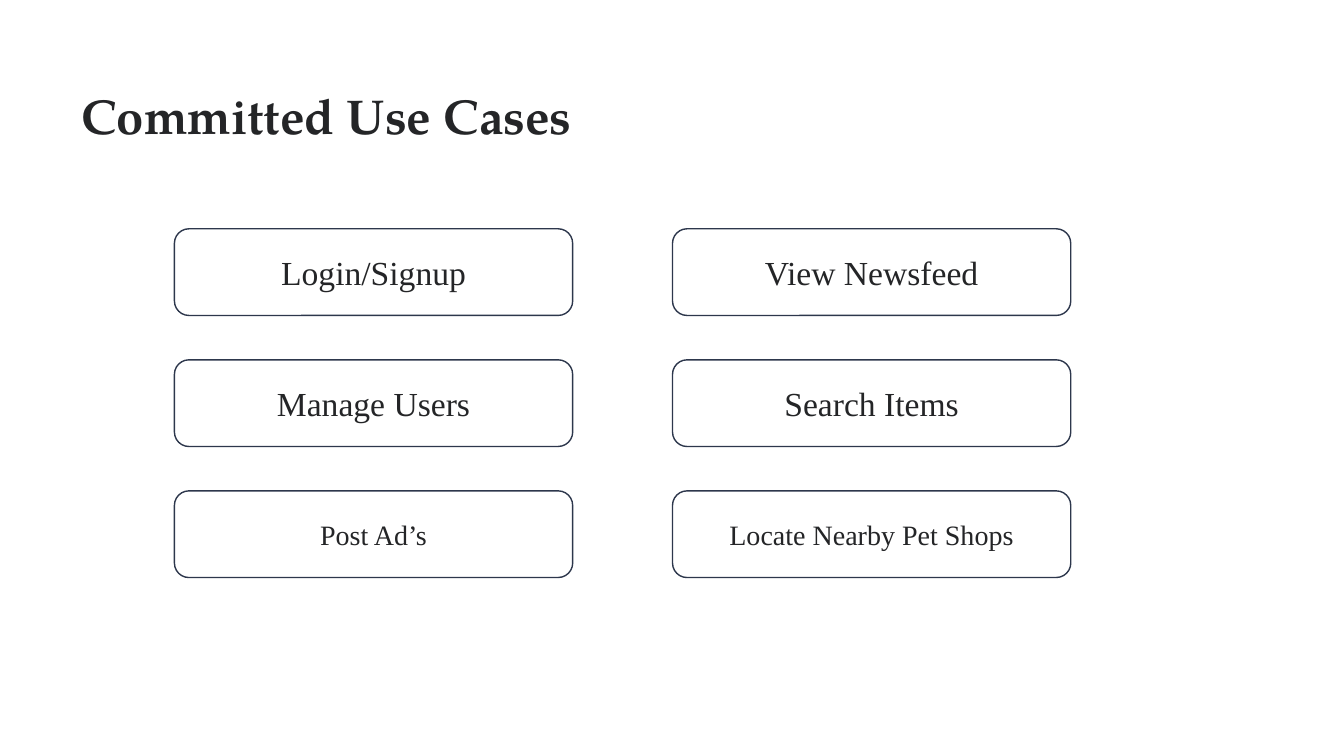
from dataclasses import dataclass

from pptx import Presentation
from pptx.dml.color import RGBColor
from pptx.enum.shapes import MSO_SHAPE as Shape
from pptx.enum.text import MSO_ANCHOR as Anchor, MSO_AUTO_SIZE as AutoSize, PP_ALIGN as Align
from pptx.slide import Slide
from pptx.text.text import TextFrame
from pptx.util import Inches, Pt

COLORS = {"text": "242527", "border": "2D374C", "card": "FFFFFF"}
TITLE_FONT, CARD_FONT = "TeX Gyre Pagella", "Times New Roman"

# Card grid, in inches
LEFT, TOP = 1.73, 2.27
COL_STEP, ROW_STEP = 4.94, 1.3
CARD_W, CARD_H = 3.95, 0.86


@dataclass
class UseCase:
    name: str
    col: int
    row: int
    size: int = 24


USE_CASES = [
    UseCase("Login/Signup", 0, 0),
    UseCase("Manage Users", 0, 1),
    UseCase("Post Ad’s", 0, 2, 20),
    UseCase("View Newsfeed", 1, 0),
    UseCase("Search Items", 1, 1),
    UseCase("Locate Nearby Pet Shops", 1, 2, 20),
]


def color(name: str) -> RGBColor:
    return RGBColor.from_string(COLORS[name])


def set_text(tf: TextFrame, text: str, font: str, size: int,
             align: Align, bold: bool = False) -> None:
    tf.text = text
    tf.word_wrap = True
    p = tf.paragraphs[0]
    p.alignment = align
    r = p.runs[0]
    r.font.name = font
    r.font.size = Pt(size)
    r.font.bold = bold
    r.font.color.rgb = color("text")


def add_title(s: Slide, text: str) -> None:
    sp = s.shapes.add_textbox(Inches(0.71), Inches(0.8), Inches(5.37), Inches(0.69))
    set_text(sp.text_frame, text, TITLE_FONT, 35, Align.LEFT, bold=True)
    sp.text_frame.auto_size = AutoSize.SHAPE_TO_FIT_TEXT


def add_card(s: Slide, case: UseCase) -> None:
    sp = s.shapes.add_shape(
        Shape.ROUNDED_RECTANGLE,
        Inches(LEFT + case.col * COL_STEP), Inches(TOP + case.row * ROW_STEP),
        Inches(CARD_W), Inches(CARD_H))
    sp.shadow.inherit = False
    sp.fill.solid()
    sp.fill.fore_color.rgb = color("card")
    sp.line.color.rgb = color("border")
    sp.line.width = Pt(1)
    sp.text_frame.vertical_anchor = Anchor.MIDDLE
    set_text(sp.text_frame, case.name, CARD_FONT, case.size, Align.CENTER)


def main() -> None:
    prs = Presentation()
    prs.slide_width, prs.slide_height = Inches(13.33), Inches(7.5)
    s = prs.slides.add_slide(prs.slide_layouts[6])

    # Title
    add_title(s, "Committed Use Cases")

    # Use case cards
    for case in USE_CASES:
        add_card(s, case)

    prs.save("out.pptx")


if __name__ == "__main__":
    main()
